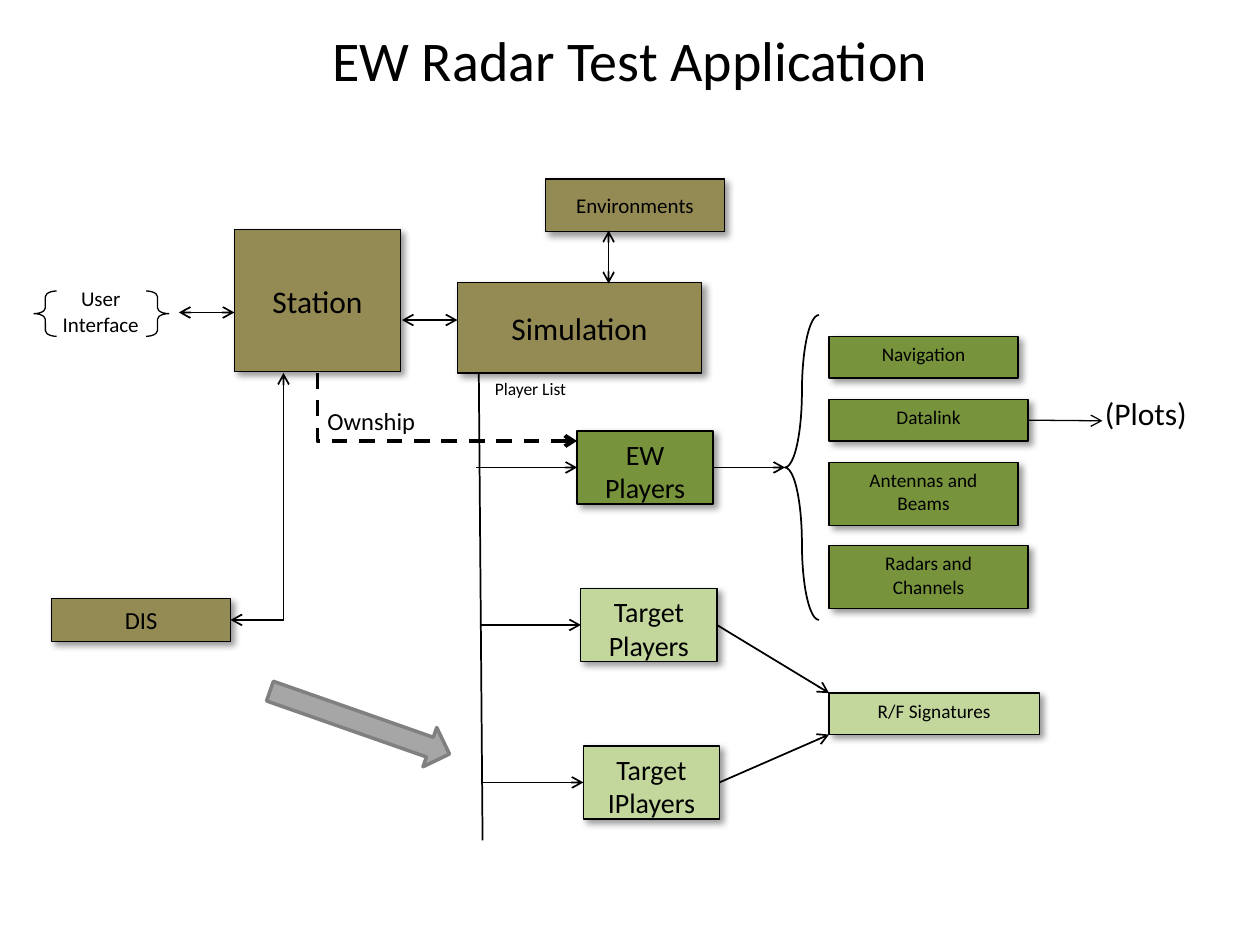
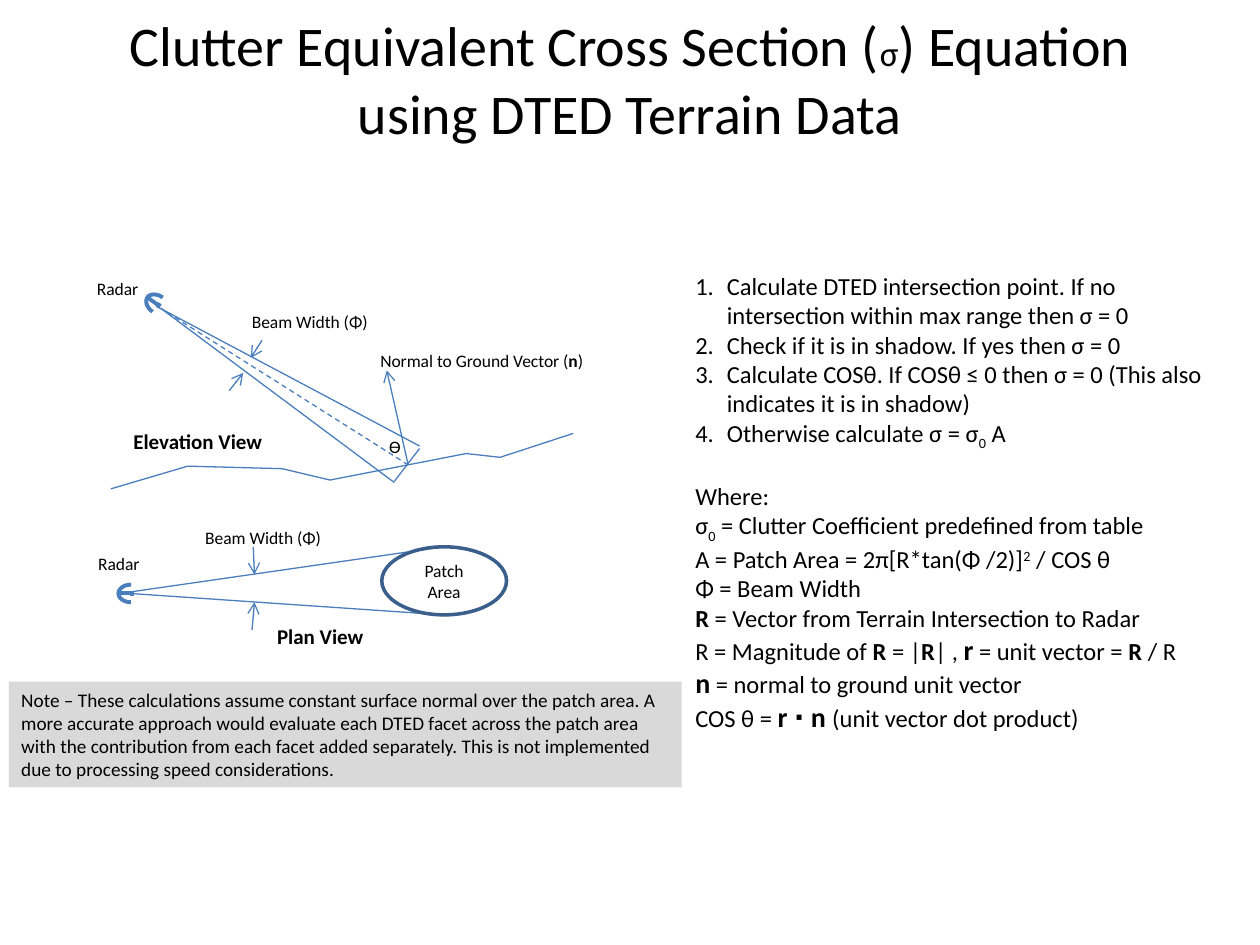
from math import cos, pi, radians, sin

from lxml.etree import SubElement
from pptx import Presentation
from pptx.dml.color import RGBColor
from pptx.enum.dml import MSO_LINE
from pptx.enum.shapes import MSO_CONNECTOR, MSO_SHAPE
from pptx.enum.text import MSO_ANCHOR, MSO_AUTO_SIZE, PP_ALIGN
from pptx.oxml.ns import qn
from pptx.util import Inches, Pt

BLACK = RGBColor(0x00, 0x00, 0x00)
OLIVE = RGBColor(0x94, 0x8A, 0x54)
GREEN = RGBColor(0x77, 0x93, 0x3C)
LIGHT_GREEN = RGBColor(0xC3, 0xD6, 0x9B)
ARROW_GRAY = RGBColor(0xA6, 0xA6, 0xA6)
DARK_GRAY = RGBColor(0x80, 0x80, 0x80)
NOTE_GRAY = RGBColor(0xD9, 0xD9, 0xD9)
BLUE = RGBColor(0x4B, 0x7E, 0xBC)
DARK_BLUE = RGBColor(0x3A, 0x5F, 0x8C)

FONT = "Calibri"
COLUMNS, ROWS = 100, 75
TOP, LEFT, BOTTOM, RIGHT = range(4)
SPAN_STYLES = {
    "bold": {"bold": True},
    "big": {"bold": True, "size": 16},
    "small": {"size": 20},
    "sub": {"baseline": -25000},
    "sup": {"baseline": 30000},
}


class Sketch:
    def __init__(self):
        self.deck = Presentation()
        self.deck.slide_width, self.deck.slide_height = Inches(10), Inches(7.5)
        self.page = None
        self.ink = BLACK

    def x(self, column):
        return round(self.deck.slide_width * column / COLUMNS)

    def y(self, row):
        return round(self.deck.slide_height * row / ROWS)

    def area(self, left, top, width, height):
        return self.x(left), self.y(top), self.x(width), self.y(height)

    def new_page(self, title, title_height, ink):
        self.page = self.deck.slides.add_slide(self.deck.slide_layouts[5])
        self.ink = ink
        box = self.page.shapes.title
        box.left, box.top, box.width, box.height = self.area(5, 0.8, 90, title_height)
        self.set_text(box, [title], 32, PP_ALIGN.CENTER, MSO_ANCHOR.MIDDLE)

    def set_text(self, box, lines, size, align=PP_ALIGN.LEFT, anchor=MSO_ANCHOR.TOP,
                 wrap=True, grow=False, numbered=0, hanging=0, bold=False):
        frame = box.text_frame
        frame.word_wrap = wrap
        frame.auto_size = MSO_AUTO_SIZE.SHAPE_TO_FIT_TEXT if grow else MSO_AUTO_SIZE.NONE
        frame.vertical_anchor = anchor
        for index, line in enumerate(lines):
            para = frame.add_paragraph() if index else frame.paragraphs[0]
            para.alignment = align
            properties = para._p.get_or_add_pPr()
            if index < hanging:
                properties.set("marL", str(Inches(0.25)))
                properties.set("indent", str(-Inches(0.25)))
            if index < numbered:
                SubElement(properties, qn("a:buAutoNum"), type="arabicPeriod")
            para.font.name, para.font.size = FONT, Pt(size)
            para.font.bold, para.font.color.rgb = bold, BLACK
            for piece in [line] if isinstance(line, str) else line:
                text, style = (piece, None) if isinstance(piece, str) else piece
                span = para.add_run()
                span.text = text
                self.style_span(span, SPAN_STYLES.get(style, {}))

    def style_span(self, span, style):
        if "bold" in style:
            span.font.bold = style["bold"]
        if "size" in style:
            span.font.size = Pt(style["size"])
        if "baseline" in style:
            span._r.get_or_add_rPr().set("baseline", str(style["baseline"]))

    def label(self, place, lines, size, **options):
        box = self.page.shapes.add_textbox(*self.area(*place))
        self.set_text(box, lines, size, grow=True, **options)
        return box

    def shape(self, kind, place, fill=None, line=None, width=0.75):
        shape = self.page.shapes.add_shape(kind, *self.area(*place))
        return self.paint(shape, fill, line, width)

    def paint(self, shape, fill, line, width):
        shape.shadow.inherit = False
        if fill is None:
            shape.fill.background()
        else:
            shape.fill.solid()
            shape.fill.fore_color.rgb = fill
        if line is None:
            shape.line.fill.background()
        else:
            shape.line.color.rgb = line
            shape.line.width = Pt(width)
        return shape

    def block(self, place, fill, lines, size, anchor=MSO_ANCHOR.TOP, **options):
        box = self.shape(MSO_SHAPE.RECTANGLE, place, fill, BLACK)
        effects = box._element.spPr.find(qn("a:effectLst"))
        shadow = SubElement(effects, qn("a:outerShdw"), blurRad=str(Pt(4)), dist=str(Pt(3)),
                            dir="2700000", algn="tl", rotWithShape="0")
        color = SubElement(shadow, qn("a:srgbClr"), val=str(BLACK))
        SubElement(color, qn("a:alpha"), val="40000")
        self.set_text(box, lines, size, PP_ALIGN.CENTER, anchor, **options)
        return box

    def brace(self, kind, place, bend, width):
        brace = self.shape(kind, place, None, BLACK, width)
        brace.adjustments[0] = bend

    def line(self, start, end, width=0.75, head=False, tail=False, dash=False,
             begin_at=None, end_at=None, kind=MSO_CONNECTOR.STRAIGHT):
        line = self.page.shapes.add_connector(
            kind, self.x(start[0]), self.y(start[1]), self.x(end[0]), self.y(end[1]))
        if begin_at:
            line.begin_connect(*begin_at)
        if end_at:
            line.end_connect(*end_at)
        line.line.color.rgb, line.line.width = self.ink, Pt(width)
        if dash:
            line.line.dash_style = MSO_LINE.DASH
        outline = line.line._get_or_add_ln()
        for wanted, tag in ((head, "a:headEnd"), (tail, "a:tailEnd")):
            if wanted:
                SubElement(outline, qn(tag), type="arrow")
        SubElement(line._element.spPr, qn("a:effectLst"))
        return line

    def elbow_down_right(self, start, end, **options):
        middle_x, middle_y = (start[0] + end[0]) / 2, (start[1] + end[1]) / 2
        half_x, half_y = (end[0] - start[0]) / 2, (end[1] - start[1]) / 2
        line = self.line((middle_x + half_y, middle_y - half_x),
                         (middle_x - half_y, middle_y + half_x),
                         kind=MSO_CONNECTOR.ELBOW, **options)
        properties = line._element.spPr
        properties.find(qn("a:xfrm")).set("rot", str(270 * 60000))
        properties.find(qn("a:prstGeom")).set("prst", "bentConnector2")

    def outline(self, points, width=0.75):
        corners = [(self.x(column), self.y(row)) for column, row in points]
        builder = self.page.shapes.build_freeform(*corners[0])
        builder.add_line_segments(corners[1:], close=False)
        self.paint(builder.convert_to_shape(), None, self.ink, width)

    def dish(self, column, row, degrees):
        turn = radians(degrees)

        def place(across, down):
            return (column + across * cos(turn) - down * sin(turn),
                    row + across * sin(turn) + down * cos(turn))

        angles = [pi * step / 12 for step in range(-6, 7)]
        self.outline([place(1 - cos(a), 0.7 * sin(a)) for a in angles], 2.25)
        self.line(place(1.1, -0.2), place(1.1, 0.2), 2.25)
        self.line(place(0, 0), place(1.1, 0), 2.25)


def draw_application(sketch):
    sketch.new_page("EW Radar Test Application", 7.8, BLACK)
    middle = MSO_ANCHOR.MIDDLE
    sketch.block((18.6, 18.2, 13.2, 11.3), OLIVE, ["Station"], 18, middle, wrap=False)
    sketch.block((36.3, 22.4, 19.4, 7.2), OLIVE, ["Simulation"], 18, middle, wrap=False)
    sketch.block((43.3, 14.2, 14.2, 4.2), OLIVE, ["Environments"], 12, middle, wrap=False)
    dis = sketch.block((4.1, 47.5, 14.2, 3.4), OLIVE, ["DIS"], 14, middle, grow=True)

    sketch.line((31.9, 25.4), (36.3, 25.4), 1, head=True, tail=True)
    sketch.line((14.2, 24.8), (18.6, 24.8), 1, head=True, tail=True)
    sketch.line((48.3, 18.3), (48.3, 22.5), 1, head=True, tail=True)
    sketch.line((22.5, 29.6), (22.5, 49.2), 1, head=True)
    sketch.line((22.5, 49.2), (18.3, 49.2), 1, tail=True, end_at=(dis, RIGHT))
    sketch.line((38, 29.6), (38.3, 66.7), 1)

    players = []
    for index, (left, fill, lines) in enumerate([
            (45.8, GREEN, ["EW", "Players"]),
            (46.1, LIGHT_GREEN, ["Target", "Players"]),
            (46.3, LIGHT_GREEN, ["Target", "IPlayers"])]):
        top = 34.2 + 12.5 * index
        player = sketch.block((left, top, 10.8, 5.8), fill, lines, 16)
        sketch.line((left - 8, top + 2.9), (left, top + 2.9), 1, tail=True,
                    end_at=(player, LEFT))
        players.append(player)

    subsystems = {}
    for name, top, width, height in [
            ("Navigation", 26.7, 15, 3.3), ("Datalink", 31.7, 15.8, 3.3),
            ("Antennas and Beams", 36.7, 15, 5), ("Radars and\nChannels", 43.3, 15.8, 5)]:
        subsystems[name] = sketch.block((65.8, top, width, height), GREEN,
                                        name.split("\n"), 11)
    sketch.brace(MSO_SHAPE.LEFT_BRACE, (62.3, 25, 2.7, 24.2), 2.38, 1)
    sketch.line((56.7, 37.1), (62.3, 37.1), 1, tail=True, begin_at=(players[0], RIGHT))
    sketch.line((81.7, 33.3), (87.5, 33.4), tail=True,
                begin_at=(subsystems["Datalink"], RIGHT))
    sketch.label((86.7, 30.8, 9.3, 4), ["(Plots)"], 18, wrap=False)

    sketch.block((65.8, 55, 16.7, 3.3), LIGHT_GREEN, ["R/F Signatures"], 11)
    for player, corner in zip(players[1:], (55, 58.3)):
        sketch.line((57, 50), (65.8, corner), 1, tail=True, begin_at=(player, RIGHT))

    sketch.label((2.7, 22.2, 10.6, 5), ["User Interface"], 12,
                 align=PP_ALIGN.CENTER, anchor=middle)
    sketch.brace(MSO_SHAPE.LEFT_BRACE, (2.7, 23.1, 1.8, 3.6), 0.25, 0.75)
    sketch.brace(MSO_SHAPE.RIGHT_BRACE, (11.6, 23.1, 1.8, 3.6), 0.25, 0.75)

    pointer = sketch.shape(MSO_SHAPE.RIGHT_ARROW, (21, 55.7, 15.1, 3.3),
                           ARROW_GRAY, DARK_GRAY, 2)
    pointer.rotation = 19.3
    sketch.label((36.7, 29.5, 10.8, 2.7), ["Player List"], 10, align=PP_ALIGN.CENTER)
    sketch.elbow_down_right((25.2, 29.6), (45.8, 35), width=2.25, tail=True, dash=True)
    sketch.label((25, 31.7, 9.6, 3.4), ["Ownship"], 14, wrap=False)


def draw_clutter(sketch):
    sketch.new_page(["Clutter Equivalent Cross Section (", ("σ", "small"),
                     ") Equation using DTED Terrain Data"], 10.8, BLUE)

    beam_edges = [((10.2, 47), (35.2, 43.4)), ((10.3, 47.1), (35.2, 48.8)),
                  ((33.3, 35.4), (12.4, 24.3)), ((31.3, 38.3), (12.8, 24.5)),
                  ((33.3, 35.6), (31.3, 38.2))]
    for start, end in beam_edges:
        sketch.line(start, end)
    sketch.line((32.4, 36.9), (12.8, 24.5), dash=True)
    ground_normal = ((32.4, 36.9), (30.7, 29.4))
    width_marks = [((20.8, 27), (19.9, 28.4)), ((18.2, 31), (19.3, 29.6)),
                   ((20.1, 43.4), (20.2, 45.6)), ((20, 50), (20.2, 47.8))]
    for start, end in [ground_normal, *width_marks]:
        sketch.line(start, end, tail=True)
    sketch.outline([(8.8, 38.8), (14.9, 37), (22.4, 37.2), (26.2, 38.1),
                    (37, 36), (39.7, 36.3), (45.5, 34.4)])
    sketch.dish(9.4, 47.1, 0)
    sketch.dish(11.7, 23.6, 35.6)

    patch = sketch.shape(MSO_SHAPE.OVAL, (30.3, 43.4, 9.9, 5.4), None, DARK_BLUE, 2)
    sketch.set_text(patch, ["Patch", "Area"], 10, PP_ALIGN.CENTER, MSO_ANCHOR.MIDDLE)

    for place, text in [((9.6, 33.5, 13.8, 3), "Elevation View"),
                        ((21, 49, 9.9, 3), "Plan View")]:
        sketch.label(place, [text], 12, wrap=False, bold=True)
    for place, line in [
            ((6.7, 21.6, 6.1, 2.8), "Radar"),
            ((6.8, 43.4, 6.1, 2.8), "Radar"),
            ((19, 24.2, 12.1, 2.7), "Beam Width (Φ)"),
            ((15.3, 41.3, 12.1, 2.7), "Beam Width (Φ)"),
            ((29.2, 27.3, 19.6, 2.7), ["Normal to Ground Vector (", ("n", "bold"), ")"]),
            ((29.9, 34.1, 3.1, 2.7), "Ө")]:
        sketch.label(place, [line], 10, wrap=False)

    steps = [
        "Calculate DTED intersection point. If no intersection within max range then σ = 0",
        "Check if it is in shadow. If yes then σ = 0",
        "Calculate COSθ. If COSθ ≤ 0 then σ = 0 (This also indicates it is in shadow)",
        ["Otherwise calculate σ = σ", ("0", "sub"), " A"],
    ]
    terms = [
        "Where:",
        ["σ", ("0", "sub"), " = Clutter Coefficient predefined from table"],
        ["A = Patch Area = 2π[R*tan(Φ /2)]", ("2", "sup"), " / COS θ"],
        "Φ = Beam Width",
        [("R", "bold"), " = Vector from Terrain Intersection to Radar"],
        ["R = Magnitude of ", ("R", "bold"), " = |", ("R", "bold"), "| , ", ("r", "big"),
         " = unit vector = ", ("R", "bold"), " / R"],
    ]
    vectors = [
        [("n", "big"), " = normal to ground unit vector"],
        ["COS θ = ", ("r ∙ n ", "big"), "(unit vector dot product)"],
    ]
    method = sketch.label((54.2, 21, 44.7, 37.4), steps + terms + vectors, 14,
                          numbered=len(steps), hanging=len(steps + terms))
    method.text_frame.paragraphs[len(steps)].space_before = Pt(17)

    note = sketch.shape(MSO_SHAPE.RECTANGLE, (0.7, 54.1, 53.4, 8.4), NOTE_GRAY)
    sketch.set_text(note, [
        "Note – These calculations assume constant surface normal over the patch area. "
        "A more accurate approach would evaluate each DTED facet across the patch area "
        "with the contribution from each facet added separately. This is not implemented "
        "due to processing speed considerations."], 11, grow=True)


def main():
    sketch = Sketch()
    draw_application(sketch)
    draw_clutter(sketch)
    sketch.deck.save("out.pptx")


if __name__ == "__main__":
    main()
